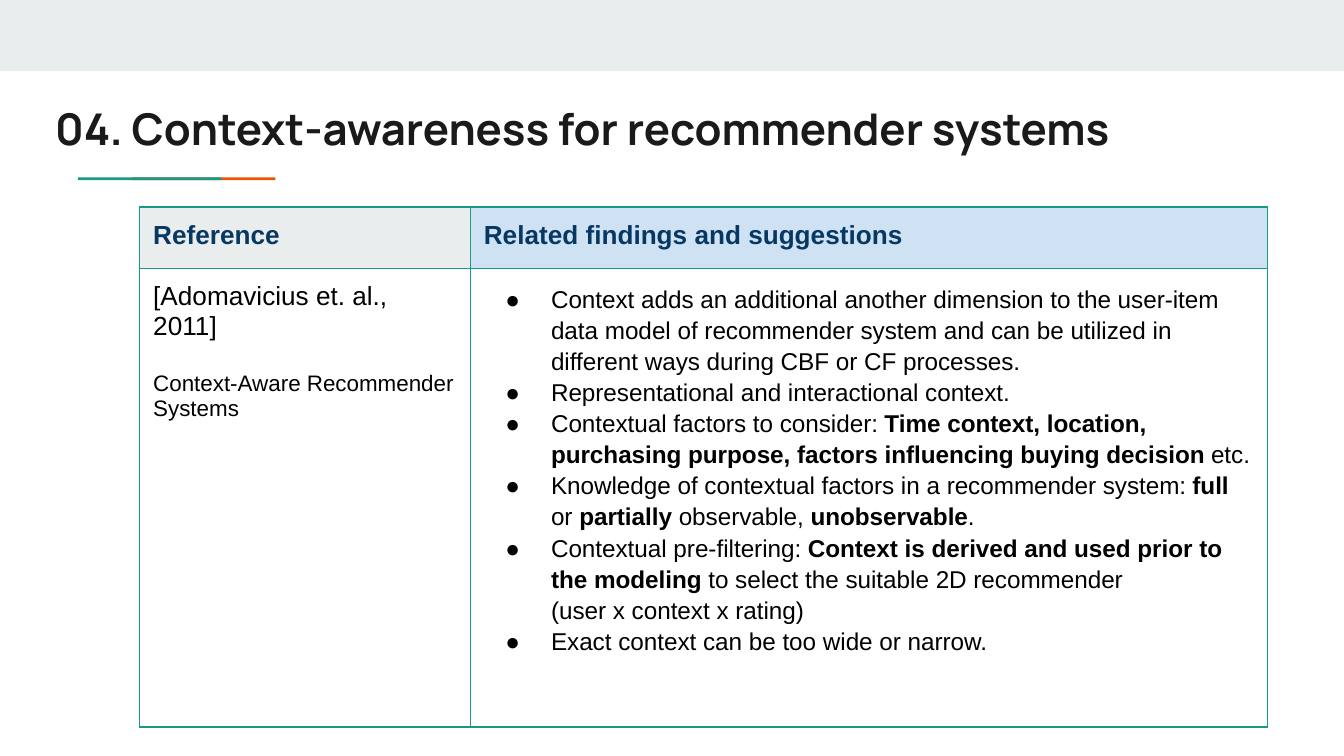
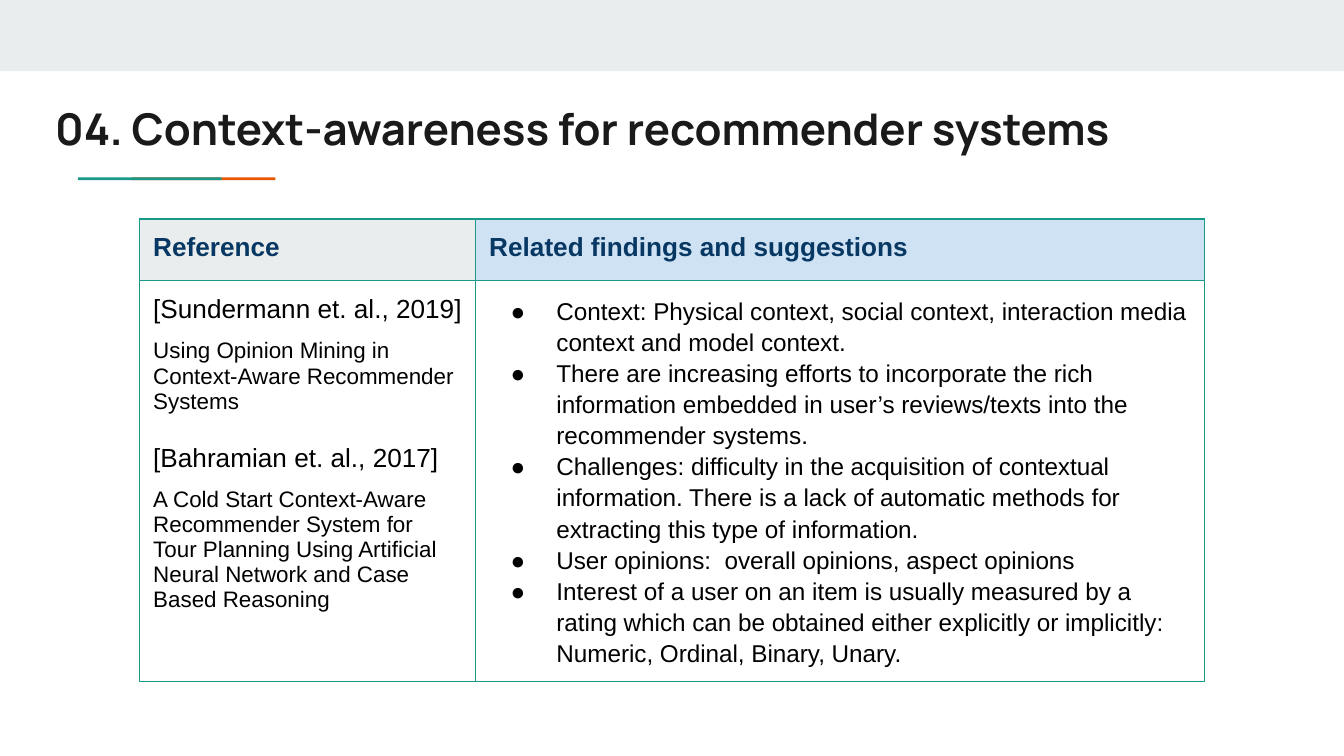
from lxml import etree
from pptx import Presentation
from pptx.dml.color import RGBColor
from pptx.enum.shapes import MSO_SHAPE as Shape
from pptx.enum.text import MSO_ANCHOR as Anchor, MSO_AUTO_SIZE as AutoSize, PP_ALIGN as Align
from pptx.oxml.ns import qn
from pptx.util import Inches, Pt

COLORS = {
    "page": "FFFFFF", "band": "E9EDEE", "teal": "1A9988", "orange": "EB5600",
    "title": "1A1A1A", "header": "073763", "header_fill": "CFE2F3", "body": "000000",
}
TITLE = "04. Context-awareness for recommender systems"
HEADERS = ["Reference", "Related findings and suggestions"]


def rgb(name):
    return RGBColor.from_string(COLORS[name])


def add_color(parent, tag, name):
    holder = etree.SubElement(parent, qn(tag))
    etree.SubElement(holder, qn("a:srgbClr"), val=COLORS[name])


def write_text(paragraph, text, size=13, font="Arial", color="body", bold=False,
               spacing=1.0, before=0, bullet=False):
    """Write one paragraph; **stars** mark bold parts and a newline is a line break."""
    paragraph.alignment = Align.LEFT
    paragraph.line_spacing = spacing
    paragraph.space_before = Pt(before)
    for part, words in enumerate(text.split("**")):
        for line, piece in enumerate(words.split("\n")):
            if line:
                paragraph.add_line_break()
            if piece:
                run = paragraph.add_run()
                run.text = piece
                run.font.size = Pt(size)
                run.font.name = font
                run.font.bold = bold or part % 2 == 1
                run.font.color.rgb = rgb(color)
    if bullet:
        properties = paragraph._p.get_or_add_pPr()
        properties.set("marL", str(Inches(0.5)))
        properties.set("indent", str(Inches(-0.34)))
        add_color(properties, "a:buClr", color)
        etree.SubElement(properties, qn("a:buFont"), typeface=font)
        etree.SubElement(properties, qn("a:buChar"), char="●")


class Deck:
    def __init__(self):
        self.presentation = Presentation()
        # Widescreen, 16 to 9
        self.presentation.slide_width = Inches(10)
        self.presentation.slide_height = Inches(10 * 9 / 16)
        self.slide = None

    def new_slide(self, title):
        layout = self.presentation.slide_layouts[5]
        self.slide = self.presentation.slides.add_slide(layout)
        self.slide.background.fill.solid()
        self.slide.background.fill.fore_color.rgb = rgb("page")
        self.bar(0, 0, 10, 0.53, "band")
        # Two-colour rule below the title, teal over orange
        self.bar(0.98, 1.32, 1.07, 0.02, "orange")
        self.bar(0.58, 1.32, 1.07, 0.02, "teal")
        self.title(title)

    def bar(self, left, top, width, height, color):
        bar = self.slide.shapes.add_shape(
            Shape.RECTANGLE, Inches(left), Inches(top), Inches(width), Inches(height))
        bar.shadow.inherit = False
        bar.fill.solid()
        bar.fill.fore_color.rgb = rgb(color)
        bar.line.fill.background()

    def title(self, text):
        heading = self.slide.shapes.title
        heading.left, heading.top = Inches(0.31), Inches(0.66)
        heading.width, heading.height = Inches(9.48), Inches(0.59)
        frame = heading.text_frame
        frame.auto_size = AutoSize.NONE
        frame.word_wrap = True
        frame.vertical_anchor = Anchor.TOP
        self.set_margins(frame)
        write_text(frame.paragraphs[0], text, size=23.4, font="Manrope",
                   color="title", bold=True)

    def set_margins(self, box):
        box.margin_left = box.margin_right = Inches(0.1)
        box.margin_top = box.margin_bottom = Inches(0.1)

    def cell(self, cell, entries, fill=None):
        """Fill a cell with (text, format) entries."""
        self.set_margins(cell)
        cell.vertical_anchor = Anchor.TOP
        if fill:
            cell.fill.solid()
            cell.fill.fore_color.rgb = rgb(fill)
        else:
            cell.fill.background()
        frame = cell.text_frame
        for index, (text, style) in enumerate(entries):
            paragraph = frame.add_paragraph() if index else frame.paragraphs[0]
            write_text(paragraph, text, **style)
        # Borders come before the fill in the cell properties
        properties = cell._tc.get_or_add_tcPr()
        for index, side in enumerate(["a:lnL", "a:lnR", "a:lnT", "a:lnB"]):
            border = etree.Element(qn(side), w=str(Pt(0.75)))
            add_color(border, "a:solidFill", "teal")
            properties.insert(index, border)

    def findings_table(self, top, widths, heights, references, findings):
        table = self.slide.shapes.add_table(
            2, 2, Inches(1.04), Inches(top), Inches(sum(widths)), Inches(sum(heights))).table
        table.first_row = table.horz_banding = False
        for column, width in zip(table.columns, widths):
            column.width = Inches(width)
        for row, height in zip(table.rows, heights):
            row.height = Inches(height)
        header_style = dict(size=14, color="header", bold=True)
        for column, fill in enumerate(["band", "header_fill"]):
            self.cell(table.cell(0, column), [(HEADERS[column], header_style)], fill)
        # Each reference is a citation followed by the title of the work
        sources = []
        for index, (citation, work, gap) in enumerate(references):
            sources.append((citation, dict(size=14, before=16 if index else 0)))
            sources.append((work, dict(size=12, before=gap)))
        self.cell(table.cell(1, 0), sources)
        self.cell(table.cell(1, 1),
                  [(text, dict(spacing=1.15, bullet=True)) for text in findings])


def main():
    deck = Deck()

    # Context as an extra dimension
    deck.new_slide(TITLE)
    deck.findings_table(
        1.54, [2.46, 5.93], [0.46, 3.41],
        [("[Adomavicius et. al., 2011]", "Context-Aware Recommender Systems", 16)],
        [
            "Context adds an additional another dimension to the user-item data model of "
            "recommender system and can be utilized in different ways during CBF or CF processes.",
            "Representational and interactional context.",
            "Contextual factors to consider: **Time context, location, purchasing purpose, "
            "factors influencing buying decision** etc.",
            "Knowledge of contextual factors in a recommender system: **full** or "
            "**partially** observable, **unobservable**.",
            "Contextual pre-filtering: **Context is derived and used prior to the modeling** "
            "to select the suitable 2D recommender \n(user x context x rating)",
            "Exact context can be too wide or narrow.",
        ])

    # Opinions and ratings as context
    deck.new_slide(TITLE)
    deck.findings_table(
        1.63, [2.5, 5.42], [0.46, 2.98],
        [
            ("[Sundermann et. al., 2019]",
             "Using Opinion Mining in Context-Aware Recommender Systems", 8),
            ("[Bahramian et. al., 2017]",
             "A Cold Start Context-Aware Recommender System for Tour Planning Using "
             "Artificial Neural Network and Case Based Reasoning", 7.5),
        ],
        [
            "Context: Physical context, social context, interaction media context and "
            "model context.",
            "There are increasing efforts to incorporate the rich information embedded in "
            "user’s reviews/texts into the recommender systems.",
            "Challenges: difficulty in the acquisition of contextual information. There is "
            "a lack of automatic methods for extracting this type of information.",
            "User opinions:  overall opinions, aspect opinions",
            "Interest of a user on an item is usually measured by a rating which can be "
            "obtained either explicitly or implicitly: Numeric, Ordinal, Binary, Unary.",
        ])

    deck.presentation.save("out.pptx")


if __name__ == "__main__":
    main()
